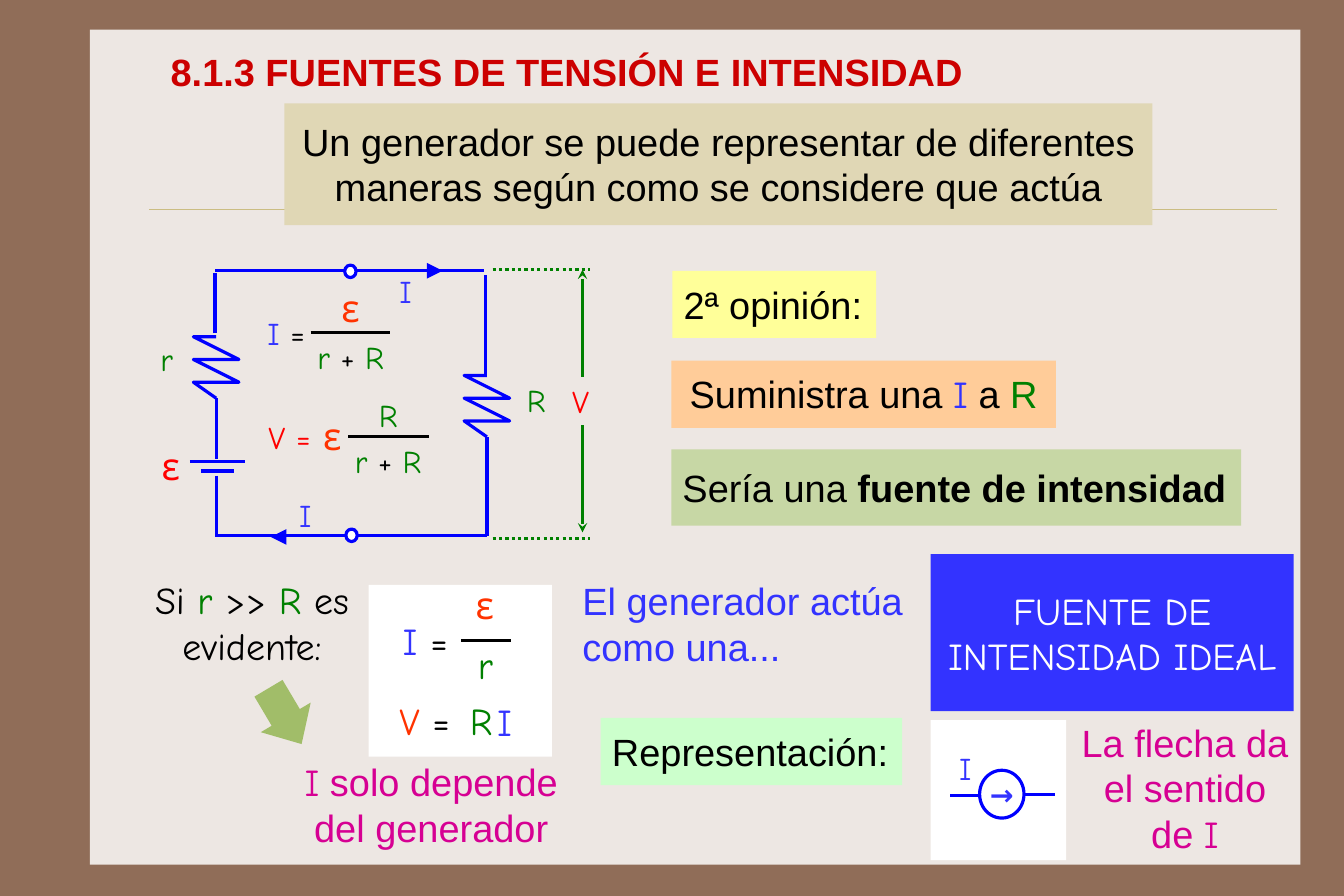
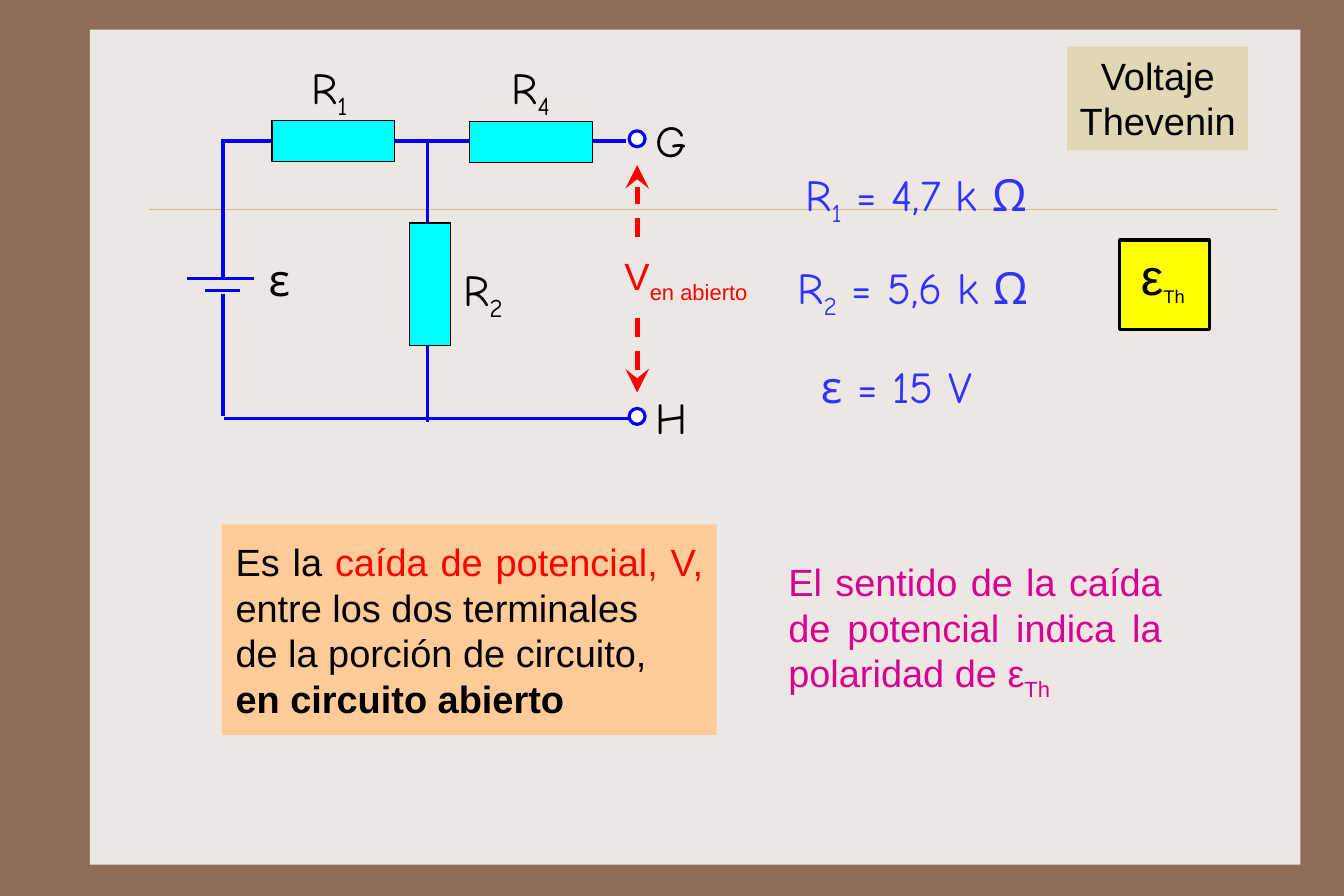
from lxml.etree import SubElement
from pptx import Presentation
from pptx.dml.color import RGBColor
from pptx.enum.dml import MSO_LINE
from pptx.enum.shapes import MSO_CONNECTOR, MSO_SHAPE
from pptx.enum.text import MSO_ANCHOR, PP_ALIGN
from pptx.oxml.ns import qn
from pptx.util import Inches, Pt

BROWN = RGBColor(0x90, 0x6D, 0x58)
PAPER = RGBColor(0xED, 0xE7, 0xE3)
RULE = RGBColor(0xCB, 0xBD, 0x83)
SAND = RGBColor(0xE0, 0xD7, 0xB5)
SAGE = RGBColor(0xC7, 0xD7, 0xA5)
PEACH = RGBColor(0xFF, 0xCC, 0x99)
CREAM = RGBColor(0xFF, 0xFF, 0x99)
MINT = RGBColor(0xCC, 0xFF, 0xCC)
OLIVE = RGBColor(0xA1, 0xBD, 0x69)
YELLOW = RGBColor(0xFF, 0xFF, 0x00)
CYAN = RGBColor(0x00, 0xFF, 0xFF)
WHITE = RGBColor(0xFF, 0xFF, 0xFF)
BLACK = RGBColor(0x00, 0x00, 0x00)
CRIMSON = RGBColor(0xCC, 0x00, 0x00)
RED = RGBColor(0xFF, 0x00, 0x00)
ORANGE = RGBColor(0xFF, 0x33, 0x00)
GREEN = RGBColor(0x00, 0x80, 0x00)
MAGENTA = RGBColor(0xD6, 0x00, 0x93)
BLUE = RGBColor(0x33, 0x33, 0xFF)
WIRE = RGBColor(0x00, 0x00, 0xFF)

TEXT_FONT = "Arial"
SYMBOL_FONT = "Comic Neue"
LEFT, CENTER, JUSTIFY = PP_ALIGN.LEFT, PP_ALIGN.CENTER, PP_ALIGN.JUSTIFY
RECTANGLE, OVAL = MSO_SHAPE.RECTANGLE, MSO_SHAPE.OVAL


def add_box(slide, place, paragraphs=(), kind=None, fill=None, outline=None,
            outline_width=2, font=TEXT_FONT, size=24, align=LEFT,
            margins=(0.1, 0.09), anchor=MSO_ANCHOR.TOP, wrap=True):
    """Add a text box, or a shape of the given kind.

    Each paragraph is a list of runs: (text, colour) or (text, colour, style),
    where style is "bold", "sub" or "symbol".
    """
    place = [Inches(length) for length in place]
    if kind is None:
        shape = slide.shapes.add_textbox(*place)
    else:
        shape = slide.shapes.add_shape(kind, *place)
        shape.shadow.inherit = False
        if fill is None:
            shape.fill.background()
        else:
            shape.fill.solid()
            shape.fill.fore_color.rgb = fill
        if outline is None:
            shape.line.fill.background()
        else:
            shape.line.color.rgb = outline
            shape.line.width = Pt(outline_width)
    frame = shape.text_frame
    frame.word_wrap = wrap
    frame.vertical_anchor = anchor
    frame.margin_left = frame.margin_right = Inches(margins[0])
    frame.margin_top = frame.margin_bottom = Inches(margins[1])
    for index, runs in enumerate(paragraphs):
        paragraph = frame.add_paragraph() if index else frame.paragraphs[0]
        paragraph.alignment = align
        for text, color, *style in runs:
            run = paragraph.add_run()
            run.text = text
            run.font.name = SYMBOL_FONT if "symbol" in style else font
            run.font.size = Pt(size)
            run.font.color.rgb = color
            run.font.bold = "bold" in style
            if "sub" in style:
                run.font._element.set("baseline", "-25000")
    return shape


def add_line(slide, start, end, color=WIRE, width=2, dash=None,
             head=None, tail=None, arrow_size="med"):
    connector = slide.shapes.add_connector(
        MSO_CONNECTOR.STRAIGHT, *[Inches(length) for length in (*start, *end)])
    connector.line.color.rgb = color
    connector.line.width = Pt(width)
    if dash is not None:
        connector.line.dash_style = dash
    properties = connector._element.spPr
    outline = properties.find(qn("a:ln"))
    for tag, arrow in (("a:headEnd", head), ("a:tailEnd", tail)):
        if arrow:
            SubElement(outline, qn(tag), type=arrow, w=arrow_size, len=arrow_size)
    SubElement(properties, qn("a:effectLst"))
    return connector


presentation = Presentation()
presentation.slide_width = Inches(189 / 16)
presentation.slide_height = Inches(63 / 8)
background = presentation.slide_master.background.fill
background.solid()
background.fore_color.rgb = BROWN
blank = presentation.slide_layouts[6]
sources_slide = presentation.slides.add_slide(blank)
thevenin_slide = presentation.slides.add_slide(blank)

# The paper card and its rule belong to the layout
card = add_box(sources_slide, (0.79, 0.26, 10.64, 7.34), kind=RECTANGLE, fill=PAPER)
rule = add_line(sources_slide, (1.31, 1.84), (11.22, 1.84), RULE, 0.25)
for part in (card, rule):
    blank.shapes.element.append(part._element)

# Slide 1: statements
slide = sources_slide
add_box(slide, (1.39, 0.37, 9.58, 0.51),
        [[("8.1.3 FUENTES DE TENSIÓN E INTENSIDAD", CRIMSON, "bold")]],
        margins=(0.11, 0.05), anchor=MSO_ANCHOR.MIDDLE)
add_box(slide, (2.5, 0.91, 7.63, 1.07),
        [[("Un generador se puede representar de diferentes maneras "
           "según como se considere que actúa", BLACK)]],
        kind=RECTANGLE, fill=SAND, align=CENTER, margins=(0.1, 0.13))
add_box(slide, (5.91, 2.38, 1.79, 0.59), [[("2ª opinión:", BLACK)]],
        kind=RECTANGLE, fill=CREAM, anchor=MSO_ANCHOR.MIDDLE, wrap=False)
add_box(slide, (5.9, 3.17, 3.38, 0.59),
        [[("Suministra una ", BLACK), ("I", BLUE, "symbol"), (" a ", BLACK), ("R", GREEN)]],
        kind=RECTANGLE, fill=PEACH, align=CENTER)
add_box(slide, (5.9, 3.95, 5.01, 0.67),
        [[("Sería una ", BLACK), ("fuente de intensidad", BLACK, "bold")]],
        kind=RECTANGLE, fill=SAGE, margins=(0.1, 0.13))
add_box(slide, (5.02, 4.99, 3.02, 0.99), [[("El generador actúa como una...", BLUE)]])
add_box(slide, (8.18, 4.87, 3.19, 1.38), [[("FUENTE DE INTENSIDAD IDEAL", WHITE)]],
        kind=RECTANGLE, fill=BLUE, font=SYMBOL_FONT, align=CENTER,
        margins=(0.08, 0.08), anchor=MSO_ANCHOR.MIDDLE)
add_box(slide, (5.28, 6.31, 2.65, 0.59), [[("Representación:", BLACK)]],
        kind=RECTANGLE, fill=MINT, wrap=False)
add_box(slide, (9.39, 6.23, 2.05, 1.39),
        [[("La flecha da el sentido de ", MAGENTA), ("I", MAGENTA, "symbol")]], align=CENTER)
add_box(slide, (1.26, 5.03, 1.91, 0.9),
        [[("Si ", BLACK), ("r", GREEN), (" >> ", BLACK), ("R", GREEN),
          (" es evidente:", BLACK)]],
        font=SYMBOL_FONT, align=CENTER, margins=(0.08, 0.04))
conclusion = add_box(slide, (2.54, 6.72, 2.5, 0.89),
                     [[("I", MAGENTA, "symbol"), (" solo depende", MAGENTA)],
                      [("del generador", MAGENTA)]], align=CENTER, wrap=False)
for paragraph in conclusion.text_frame.paragraphs:
    paragraph.line_spacing = 0.6
conclusion.text_frame.paragraphs[1].space_before = Pt(12)
pointer = add_box(slide, (2.22, 6.04, 0.57, 0.51), kind=MSO_SHAPE.RIGHT_ARROW, fill=OLIVE)
pointer.adjustments[0] = 0.564
pointer.adjustments[1] = 0.534
pointer.rotation = 59.3

# Slide 1: white panels and circuit wires
for panel in ((3.24, 5.14, 1.61, 1.51), (8.18, 6.33, 1.19, 1.23)):
    add_box(slide, panel, kind=RECTANGLE, fill=WHITE)
for start, end in (
        ((1.89, 2.38), (4.25, 2.38)), ((1.89, 4.71), (4.28, 4.71)),
        ((4.28, 4.71), (4.28, 3.84)), ((4.27, 3.29), (4.27, 2.42)),
        ((1.67, 4.06), (2.15, 4.06)), ((1.77, 4.14), (2.06, 4.14)),
        ((1.9, 4.03), (1.9, 3.5)), ((1.9, 4.18), (1.9, 4.71)),
        ((1.89, 2.93), (1.89, 2.4)),
        ((9.01, 6.98), (9.27, 6.98)), ((8.61, 6.99), (8.35, 6.99))):
    add_line(slide, start, end)
for start, end in (((3.8, 2.38), (3.89, 2.38)), ((2.44, 4.72), (2.38, 4.72))):
    add_line(slide, start, end, width=1, tail="triangle", arrow_size="lg")
for left, top in ((4.08, 3.3), (1.7, 2.96)):
    zigzag = [(Inches(left + x), Inches(top + y)) for x, y in (
        (0.2, 0.54), (0, 0.4), (0.4, 0.4), (0, 0.2), (0.4, 0.2), (0, 0), (0.2, 0))]
    builder = slide.shapes.build_freeform(*zigzag[0])
    builder.add_line_segments(zigzag[1:], close=False)
    resistor = builder.convert_to_shape()
    resistor.shadow.inherit = False
    resistor.fill.background()
    resistor.line.color.rgb = WIRE
    resistor.line.width = Pt(2)
for left, top in ((3.03, 2.33), (3.04, 4.65)):
    add_box(slide, (left, top, 0.1, 0.11), kind=OVAL, fill=WHITE, outline=WIRE)
add_box(slide, (8.61, 6.77, 0.39, 0.42), kind=OVAL, outline=WIRE)
for y in (2.37, 4.73):
    add_line(slide, (4.33, y), (5.19, y), GREEN, dash=MSO_LINE.ROUND_DOT)
for start_y, end_y in ((3.31, 2.37), (3.74, 4.68)):
    add_line(slide, (5.12, start_y), (5.12, end_y), GREEN, tail="stealth")
for left, right, y in ((4.05, 4.49, 5.63), (2.73, 3.43, 2.92), (3.06, 3.77, 3.84)):
    add_line(slide, (left, y), (right, y), BLACK)

# Slide 1: symbols and formulas
sum_of_resistors = [("r ", GREEN), ("+ ", BLACK), ("R", GREEN)]
current_equals = [("I ", BLUE), ("=", BLACK)]
for place, size, runs in (
        ((3.46, 5.39, 0.72, 0.49), 24, current_equals),
        ((4.12, 5.6, 0.33, 0.49), 24, [("r", GREEN)]),
        ((4.1, 5.07, 0.32, 0.49), 24, [("ε", ORANGE)]),
        ((3.43, 6.09, 0.76, 0.49), 24, [("V ", ORANGE), ("=", BLACK)]),
        ((4.05, 6.09, 0.38, 0.49), 24, [("R", GREEN)]),
        ((4.29, 6.1, 0.35, 0.49), 24, [("I", BLUE)]),
        ((8.35, 6.54, 0.3, 0.39), 20, [("I", BLUE)]),
        ((8.62, 6.79, 0.39, 0.39), 18, [("→", BLUE, "bold")]),
        ((4.55, 3.31, 0.32, 0.39), 20, [("R", GREEN)]),
        ((2.27, 2.72, 0.58, 0.39), 20, current_equals),
        ((2.71, 2.93, 0.8, 0.39), 20, sum_of_resistors),
        ((2.92, 2.46, 0.29, 0.42), 24, [("ε", ORANGE)]),
        ((1.34, 3.85, 0.29, 0.42), 24, [("ε", RED)]),
        ((1.33, 2.95, 0.29, 0.39), 20, [("r", GREEN)]),
        ((3.43, 2.35, 0.34, 0.39), 20, [("I", BLUE)]),
        ((2.55, 4.32, 0.34, 0.39), 20, [("I", BLUE)]),
        ((2.28, 3.63, 0.61, 0.39), 20, [("V =", RED)]),
        ((3.04, 3.84, 0.8, 0.39), 20, sum_of_resistors),
        ((2.76, 3.59, 0.29, 0.42), 24, [("ε", ORANGE)]),
        ((3.25, 3.44, 0.35, 0.39), 20, [("R", GREEN)]),
        ((4.95, 3.32, 0.33, 0.39), 20, [("V", RED)])):
    add_box(slide, place, [runs], font=SYMBOL_FONT, size=size,
            margins=(0.08, 0.04), wrap=False)

# Slide 2: circuit
slide = thevenin_slide
add_line(slide, (5.6, 3.45), (5.6, 1.45), RED, 3, MSO_LINE.DASH,
         head="stealth", tail="stealth", arrow_size="lg")
add_box(slide, (5.39, 2.13, 1.41, 0.58), [[("V", RED), ("en abierto", RED, "sub")]],
        kind=RECTANGLE, fill=PAPER, wrap=False)
for start, end in (
        ((5.61, 3.68), (1.97, 3.68)), ((5.5, 1.24), (1.94, 1.24)),
        ((3.76, 3.71), (3.76, 1.23)), ((1.96, 3.66), (1.96, 2.58)),
        ((1.96, 2.45), (1.96, 1.23)),
        ((1.64, 2.45), (2.23, 2.45)), ((1.8, 2.55), (2.11, 2.55))):
    add_line(slide, start, end)
for resistor_place in ((2.39, 1.06, 1.08, 0.36), (4.13, 1.07, 1.08, 0.36),
                       (3.6, 1.96, 0.36, 1.08)):
    add_box(slide, resistor_place, kind=RECTANGLE, fill=CYAN,
            outline=BLACK, outline_width=0.75)
for terminal_top in (1.15, 3.59):
    add_box(slide, (5.53, terminal_top, 0.14, 0.14), kind=OVAL, fill=WHITE, outline=WIRE)

# Slide 2: labels and values
for left, top, width, align, runs in (
        (2.38, 0.48, 1.03, CENTER, [("R", BLACK), ("1", BLACK, "sub")]),
        (4.15, 0.48, 1.03, CENTER, [("R", BLACK), ("4", BLACK, "sub")]),
        (3.73, 2.26, 1.03, CENTER, [("R", BLACK), ("2", BLACK, "sub")]),
        (1.94, 2.17, 1.03, CENTER, [("ε", BLACK)]),
        (5.67, 0.95, 0.57, LEFT, [("G", BLACK)]),
        (5.67, 3.38, 0.57, LEFT, [("H", BLACK)]),
        (6.72, 1.42, 2.66, CENTER, [("R", BLUE), ("1", BLUE, "sub"), (" = 4,7 k Ω", BLUE)]),
        (6.69, 2.24, 2.66, CENTER, [("R", BLUE), ("2", BLUE, "sub"), (" = 5,6 k Ω", BLUE)]),
        (6.55, 3.11, 2.66, CENTER, [("ε = 15 V", BLUE)])):
    add_box(slide, (left, top, width, 0.64), [runs], font=SYMBOL_FONT, size=28,
            align=align, margins=(0.09, 0.05))

# Slide 2: Thevenin voltage
add_box(slide, (9.38, 0.41, 1.59, 0.91), [[("Voltaje Thevenin", BLACK)]],
        kind=RECTANGLE, fill=SAND, align=CENTER, margins=(0.1, 0.05))
add_box(slide, (9.84, 2.11, 0.79, 0.79), kind=RECTANGLE, fill=YELLOW, outline=BLACK)
emf = add_box(slide, (9.84, 2.06, 0.76, 0.71), [[("ε", BLACK), ("Th", BLACK, "sub")]],
              size=32, align=CENTER)
emf.text_frame.paragraphs[0].runs[1].font.size = Pt(20)
add_box(slide, (1.95, 4.61, 4.35, 1.85),
        [[("Es la ", BLACK), ("caída de potencial, V,", RED),
          (" entre los dos terminales", BLACK)],
         [("de la porción de circuito,", BLACK)],
         [("en circuito abierto", BLACK, "bold")]],
        kind=RECTANGLE, fill=PEACH, align=JUSTIFY, margins=(0.12, 0.12),
        anchor=MSO_ANCHOR.MIDDLE)
add_box(slide, (6.83, 4.82, 3.48, 1.39),
        [[("El sentido de la caída de potencial indica la polaridad de ε", MAGENTA),
          ("Th", MAGENTA, "sub")]], align=JUSTIFY)

presentation.save("out.pptx")
